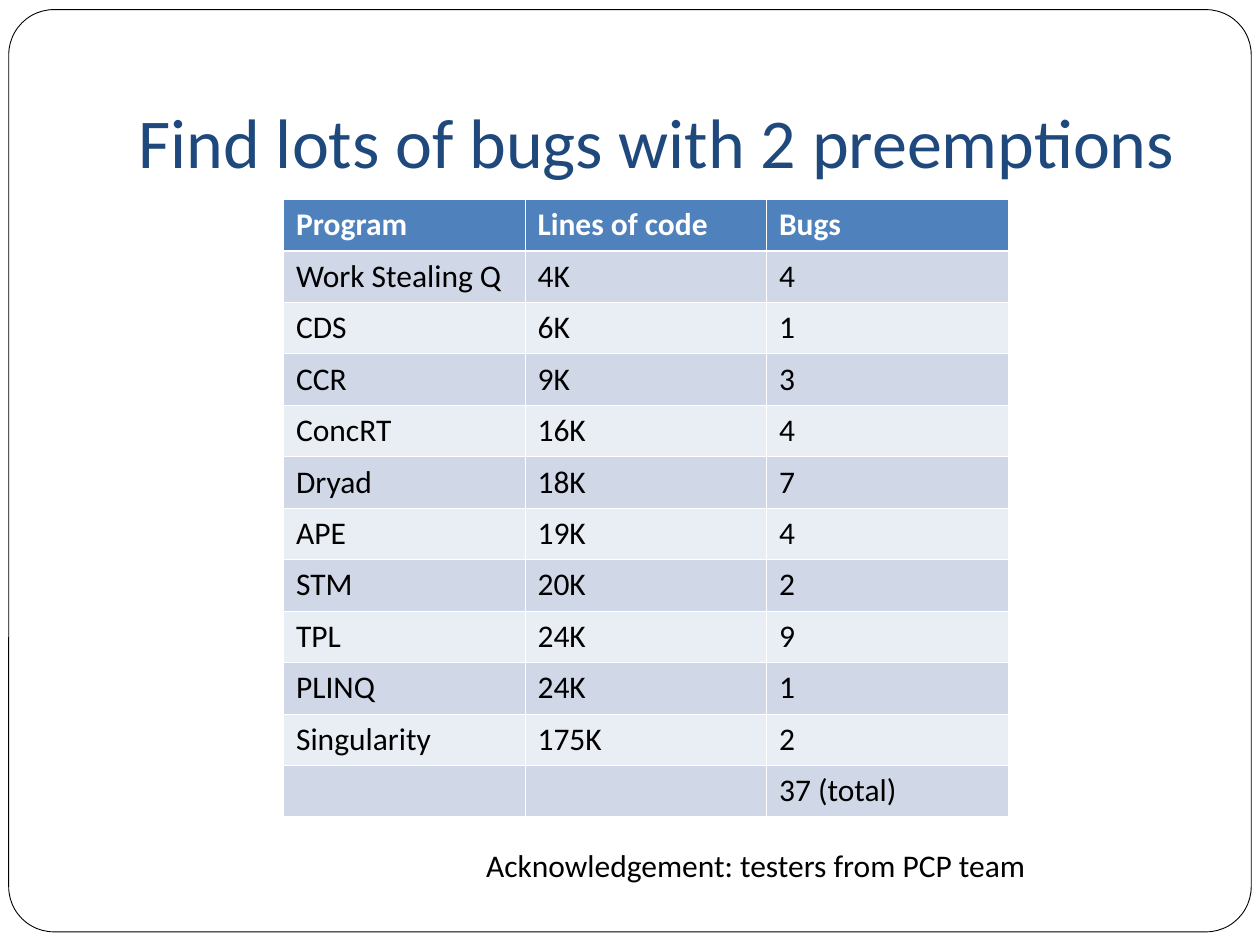
from dataclasses import dataclass

import pptx
import pptx.dml.color
import pptx.enum.shapes
import pptx.enum.text
import pptx.oxml
import pptx.oxml.ns
import pptx.util

Pt = pptx.util.Pt
RGB = pptx.dml.color.RGBColor.from_string
Align = pptx.enum.text.PP_ALIGN
Anchor = pptx.enum.text.MSO_ANCHOR
AutoSize = pptx.enum.text.MSO_AUTO_SIZE


@dataclass(frozen=True)
class Theme:
    font: str = "Calibri"
    title_size: float = 40
    body_size: float = 18
    title: str = "1F497D"
    ink: str = "000000"
    paper: str = "FFFFFF"
    header: str = "4F81BD"
    bands: tuple = ("D0D8E8", "E9EDF4")
    frame_line: float = 0.5
    thin_rule: float = 0.45
    header_rule: float = 1.47


@dataclass(frozen=True)
class Box:
    left: float
    top: float
    width: float
    height: float

    def lengths(self):
        return [Pt(v) for v in (self.left, self.top, self.width, self.height)]


THEME = Theme()
HEADINGS = ("Program", "Lines of code", "Bugs")
PROGRAMS = (
    ("Work Stealing Q", "4K", 4),
    ("CDS", "6K", 1),
    ("CCR", "9K", 3),
    ("ConcRT", "16K", 4),
    ("Dryad", "18K", 7),
    ("APE", "19K", 4),
    ("STM", "20K", 2),
    ("TPL", "24K", 9),
    ("PLINQ", "24K", 1),
    ("Singularity", "175K", 2),
)


def apply(target, formats):
    for name, value in formats.items():
        setattr(target, name, value)


def write(frame, text, size, color, bold=False):
    para = frame.paragraphs[0]
    para.alignment = Align.LEFT
    span = para.add_run()
    span.text = text
    apply(span.font, {"name": THEME.font, "size": Pt(size), "bold": bold})
    span.font.color.rgb = RGB(color)


def draw_frame(page, box):
    """Rounded outline around the whole page."""
    frame = page.shapes.add_shape(
        pptx.enum.shapes.MSO_SHAPE.ROUNDED_RECTANGLE, *box.lengths())
    frame.adjustments[0] = 0.049
    frame.shadow.inherit = False
    frame.fill.background()
    frame.line.color.rgb = RGB(THEME.ink)
    frame.line.width = Pt(THEME.frame_line)


def place_title(page, box, text):
    title = page.shapes.title
    apply(title, dict(zip(("left", "top", "width", "height"), box.lengths())))
    apply(title.text_frame, {
        "word_wrap": True, "auto_size": AutoSize.NONE,
        "vertical_anchor": Anchor.BOTTOM,
        "margin_left": Pt(7.2), "margin_right": Pt(7.2),
        "margin_top": Pt(3.6), "margin_bottom": Pt(7.2)})
    write(title.text_frame, text, THEME.title_size, THEME.title)


def rule_cell(cell, widths):
    """Cell borders, which must stand before the fill."""
    properties = cell._tc.get_or_add_tcPr()
    for side, width in widths.items():
        properties.append(pptx.oxml.parse_xml(
            f'<a:ln{side} {pptx.oxml.ns.nsdecls("a")} w="{Pt(width)}">'
            f'<a:solidFill><a:srgbClr val="{THEME.paper}"/></a:solidFill>'
            f'</a:ln{side}>'))


def build_bug_table(page, box):
    total = sum(bugs for _, _, bugs in PROGRAMS)
    rows = (HEADINGS, *PROGRAMS, ("", "", f"{total} (total)"))
    table = page.shapes.add_table(
        len(rows), len(HEADINGS), *box.lengths()).table
    for column in table.columns:
        column.width = Pt(box.width / len(HEADINGS))
    for index, values in enumerate(rows):
        table.rows[index].height = Pt(box.height / len(rows))
        heading = index == 0
        fill = THEME.header if heading else THEME.bands[(index - 1) % 2]
        ink = THEME.paper if heading else THEME.ink
        widths = dict.fromkeys("LRTB", THEME.thin_rule)
        if index < 2:
            widths["B" if heading else "T"] = THEME.header_rule
        for cell, value in zip(table.rows[index].cells, values):
            rule_cell(cell, widths)
            cell.fill.solid()
            cell.fill.fore_color.rgb = RGB(fill)
            write(cell.text_frame, str(value), THEME.body_size, ink, heading)


def place_acknowledgement(page, box, text):
    note = page.shapes.add_textbox(*box.lengths())
    apply(note.text_frame, {
        "word_wrap": False, "auto_size": AutoSize.SHAPE_TO_FIT_TEXT})
    write(note.text_frame, text, THEME.body_size, THEME.ink)


def main():
    deck = pptx.Presentation()
    apply(deck, {"slide_width": Pt(720), "slide_height": Pt(540)})
    page = deck.slides.add_slide(deck.slide_layouts.get_by_name("Title Only"))
    page.background.fill.solid()
    page.background.fill.fore_color.rgb = RGB(THEME.paper)

    draw_frame(page, Box(5, 5.5, 710, 527))
    place_title(page, Box(72, 21.6, 612, 90),
                "Find lots of bugs with 2 preemptions")
    build_bug_table(page, Box(162, 114, 414, 352.8))
    place_acknowledgement(page, Box(270.7, 480, 324, 29),
                          "Acknowledgement: testers from PCP team")
    deck.save("out.pptx")


if __name__ == "__main__":
    main()
